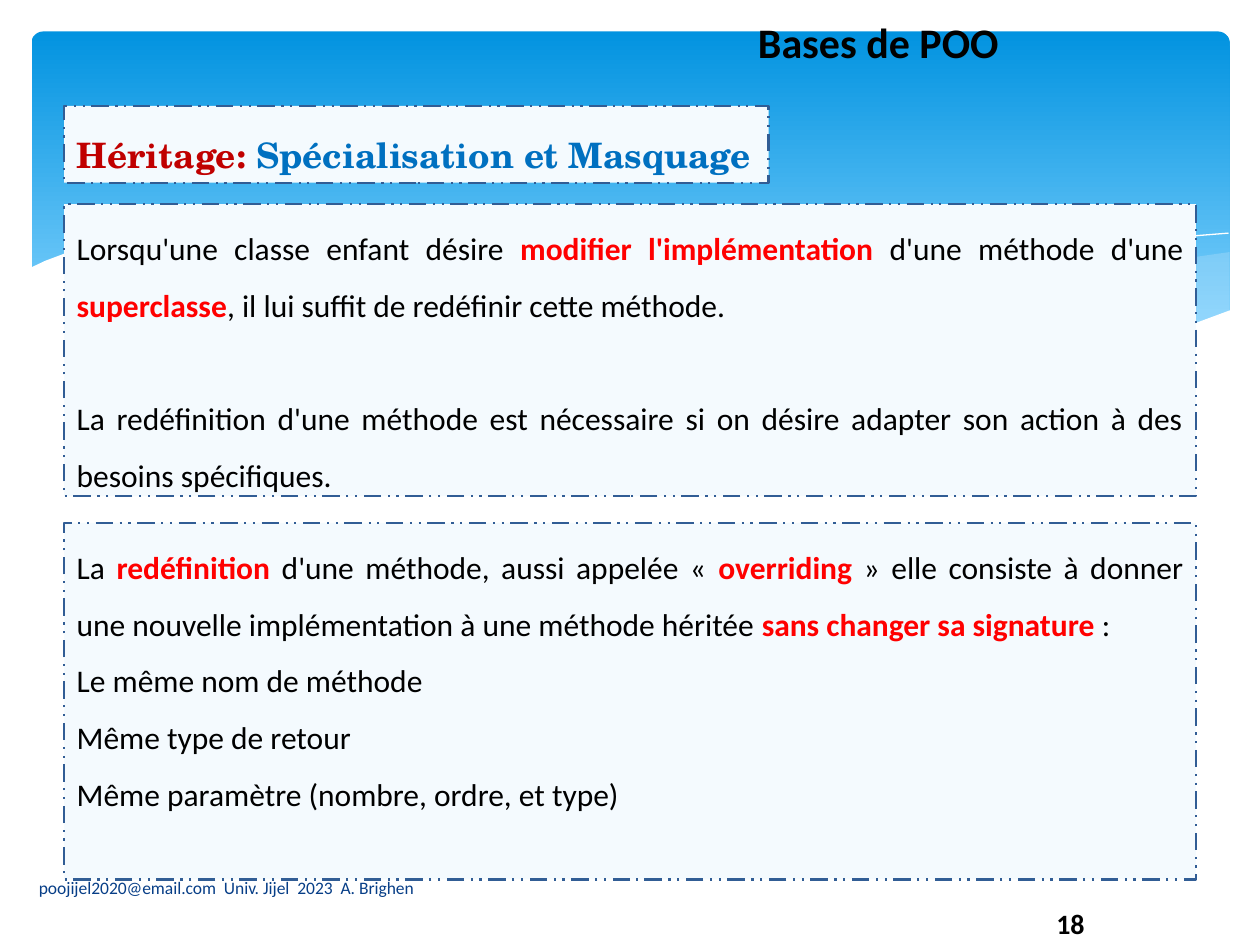
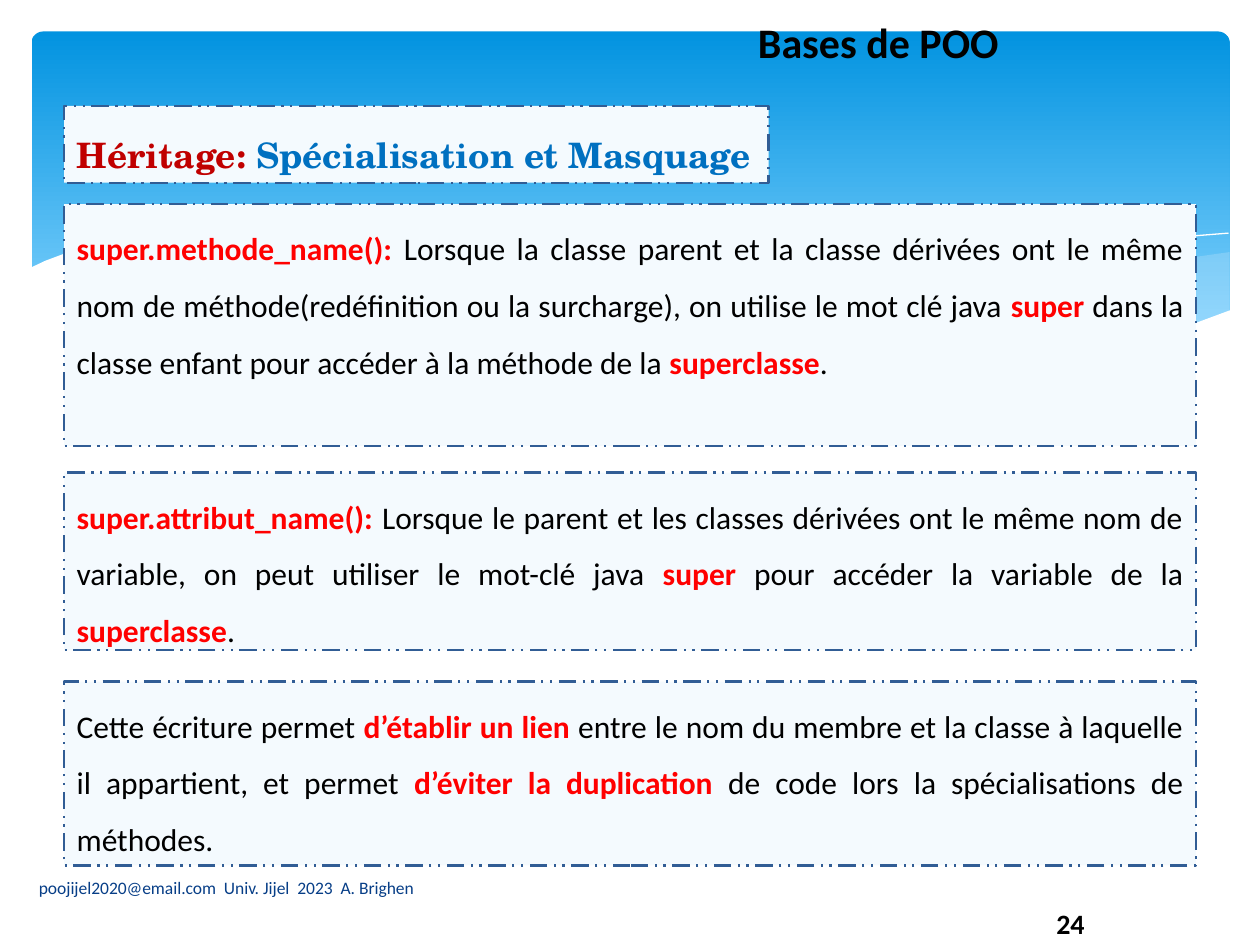
from dataclasses import dataclass

from lxml.etree import SubElement
from pptx import Presentation
from pptx.dml.color import RGBColor
from pptx.enum.dml import MSO_LINE
from pptx.enum.shapes import MSO_SHAPE
from pptx.enum.text import MSO_ANCHOR, PP_ALIGN
from pptx.oxml.ns import qn
from pptx.shapes.base import BaseShape
from pptx.slide import Slide
from pptx.util import Pt

BLACK = RGBColor(0x00, 0x00, 0x00)
WHITE = RGBColor(0xFF, 0xFF, 0xFF)
RED = RGBColor(0xFF, 0x00, 0x00)
CRIMSON = RGBColor(0xC0, 0x00, 0x00)
BLUE = RGBColor(0x00, 0x70, 0xC0)
NAVY = RGBColor(0x07, 0x3E, 0x87)
EDGE = RGBColor(0x31, 0x5D, 0x95)
PALE = RGBColor(0xF4, 0xFA, 0xFE)
MIST = RGBColor(0xC6, 0xE7, 0xFC)
SKY = RGBColor(0x02, 0x93, 0xE0)
LIGHT = RGBColor(0x83, 0xD3, 0xFE)

LEFT, WIDTH = 36.7, 646.6
BLANK_LINE = 32.4

Points = list[tuple[float, float]]

MIST_WAVE: Points = [
    (702.7, 144), (682.6, 146.9), (663.1, 151.2), (641.5, 155.5), (619.9, 160.6),
    (579.6, 170.6), (542.2, 178.6), (508.3, 185), (475.9, 190.8), (497.5, 193.7),
    (517.7, 195.8), (545, 198.7), (578.2, 200.2), (601.2, 199.4), (627.8, 197.3),
    (651.6, 193.7), (673.2, 188.6), (683.3, 185), (702.7, 177.8),
]
THIN_WAVE: Points = [
    (441.4, 185), (470.2, 177.1), (500.4, 169.2), (538.6, 160.6), (580.3, 151.2),
    (623.5, 143.3), (644.4, 139.7), (665.3, 136.8), (684.7, 134.6), (702, 133.2),
]
WHITE_WAVE: Points = [
    (703.4, 177.1), (684, 184.3), (662.4, 190.8), (638.6, 195.1), (612, 198),
    (582.5, 199.4), (547.9, 198), (509.8, 194.4), (466.6, 188.6), (416.9, 180),
    (380.9, 172.1), (342, 163.4), (301, 153.4), (262.8, 145.4), (227.5, 139.7),
    (195.1, 135.4), (165.6, 133.2), (139, 132.5), (105.1, 133.2), (76.3, 136.1),
    (54.7, 140.4), (37.4, 144.7), (25.9, 149), (16.6, 153.4), (16.6, 236.9),
    (703.4, 236.9),
]


@dataclass
class Panel:
    top: float
    height: float
    paras: list[str]
    gap: float = 0


@dataclass
class Page:
    number: int
    panels: list[Panel]


PAGES = [
    Page(18, [
        Panel(116.6, 167, [
            "Lorsqu'une classe enfant désire *modifier l'implémentation *d'une méthode "
            "d'une *superclasse*, il lui suffit de redéfinir cette méthode.",
            "La redéfinition d'une méthode est nécessaire si on désire adapter son "
            "action à des besoins spécifiques.",
        ], gap=BLANK_LINE),
        Panel(298.8, 203.8, [
            "La *redéfinition* d'une méthode, aussi appelée « *overriding* » elle "
            "consiste à donner une nouvelle implémentation à une méthode héritée "
            "*sans changer sa signature* :",
            "Le même nom de méthode",
            "Même type de retour",
            "Même paramètre (nombre, ordre, et type)",
        ]),
    ]),
    Page(24, [
        Panel(116.6, 138.2, [
            "*super.methode_name(): *Lorsque la classe parent et la classe dérivées "
            "ont le même nom de méthode(redéfinition ou la surcharge), on utilise le "
            "mot clé java *super* dans la classe enfant pour accéder à la méthode de "
            "la *superclasse*.",
        ]),
        Panel(270, 101.5, [
            "*super.attribut_name(): *Lorsque le parent et les classes dérivées ont "
            "le même nom de variable, on peut utiliser le mot-clé java *super* pour "
            "accéder la variable de la *superclasse*.",
        ]),
        Panel(389.5, 105.1, [
            "Cette écriture permet *d’établir un lien* entre le nom du membre et la "
            "classe à laquelle il appartient, et permet *d’éviter la duplication *de "
            "code lors la spécialisations de méthodes.",
        ]),
    ]),
]


def write(shape: BaseShape, paras: list[str], *, size: float = 18,
          font: str = "Calibri", color: RGBColor = BLACK, accent: RGBColor = RED,
          bold: bool = False, align: PP_ALIGN = PP_ALIGN.LEFT, spacing: float = 1,
          gap: float = 0, anchor: MSO_ANCHOR = MSO_ANCHOR.TOP) -> None:
    """Fill a shape with text; parts between asterisks are bold in the accent colour."""
    frame = shape.text_frame
    frame.word_wrap = True
    frame.vertical_anchor = anchor
    for index, text in enumerate(paras):
        para = frame.add_paragraph() if index else frame.paragraphs[0]
        para.alignment = align
        para.line_spacing = spacing
        if index and gap:
            para.space_before = Pt(gap)
        for turn, part in enumerate(text.split("*")):
            if not part:
                continue
            marked = turn % 2 == 1
            run = para.add_run()
            run.text = part
            run.font.name = font
            run.font.size = Pt(size)
            run.font.bold = bold or marked
            run.font.color.rgb = accent if marked else color


def label(slide: Slide, left: float, top: float, width: float, height: float,
          text: str, **style) -> None:
    box = slide.shapes.add_textbox(Pt(left), Pt(top), Pt(width), Pt(height))
    write(box, [text], **style)


def panel(slide: Slide, top: float, height: float, paras: list[str],
          width: float = WIDTH, **style) -> None:
    """Draw a pale box with a dashed edge and justified text."""
    box = slide.shapes.add_shape(MSO_SHAPE.RECTANGLE, Pt(LEFT), Pt(top),
                                 Pt(width), Pt(height))
    box.shadow.inherit = False
    box.fill.solid()
    box.fill.fore_color.rgb = PALE
    box.line.color.rgb = EDGE
    box.line.width = Pt(1.25)
    box.line.dash_style = MSO_LINE.DASH_DOT_DOT
    write(box, paras, align=PP_ALIGN.JUSTIFY, spacing=1.5, **style)


def wave(slide: Slide, points: Points, color: RGBColor, *,
         closed: bool = True, alpha: int = 100) -> None:
    """Draw a filled outline, or a hairline when it is not closed."""
    first, *rest = [(Pt(x), Pt(y)) for x, y in points]
    pen = slide.shapes.build_freeform(*first)
    pen.add_line_segments(rest, close=closed)
    shape = pen.convert_to_shape()
    shape.shadow.inherit = False
    if not closed:
        shape.fill.background()
        shape.line.color.rgb = color
        shape.line.width = Pt(0)
        return
    shape.line.fill.background()
    shape.fill.solid()
    shape.fill.fore_color.rgb = color
    if alpha < 100:
        tint = shape._element.spPr.find(qn("a:solidFill"))[0]
        SubElement(tint, qn("a:alpha")).set("val", str(alpha * 1000))


def banner(slide: Slide) -> None:
    band = slide.shapes.add_shape(MSO_SHAPE.ROUNDED_RECTANGLE, Pt(18), Pt(18),
                                  Pt(684.7), Pt(194.4))
    band.adjustments[0] = 0.034
    band.shadow.inherit = False
    band.line.fill.background()
    band.fill.gradient()
    band.fill.gradient_angle = 270
    for stop, color, place in zip(band.fill.gradient_stops, (SKY, LIGHT), (0, 0.9)):
        stop.color.rgb = color
        stop.position = place
    wave(slide, MIST_WAVE, MIST, alpha=29)
    wave(slide, THIN_WAVE, WHITE, closed=False)
    wave(slide, WHITE_WAVE, WHITE)


def build(slide: Slide, page: Page) -> None:
    banner(slide)
    panel(slide, 60.5, 43.9, ["Héritage: *Spécialisation et Masquage*"], width=402.5,
          size=20, font="TeX Gyre Schola", color=CRIMSON, accent=BLUE, bold=True)
    label(slide, 365.8, 9.4, 272.2, 33.1, "Bases de POO", size=24, bold=True,
          align=PP_ALIGN.CENTER, spacing=0.9)
    label(slide, 527.8, 513.4, 167.8, 28.8, str(page.number), size=16, bold=True,
          align=PP_ALIGN.CENTER, anchor=MSO_ANCHOR.MIDDLE)
    for item in page.panels:
        panel(slide, item.top, item.height, item.paras, gap=item.gap)
    label(slide, 15.1, 492.5, 298.1, 28.8,
          "poojijel2020@email.com  Univ. Jijel  2023  A. Brighen",
          size=10, color=NAVY, anchor=MSO_ANCHOR.MIDDLE)


def main() -> None:
    deck = Presentation()
    deck.slide_width, deck.slide_height = Pt(720), Pt(540)
    for page in PAGES:
        build(deck.slides.add_slide(deck.slide_layouts[6]), page)
    deck.save("out.pptx")


if __name__ == "__main__":
    main()
